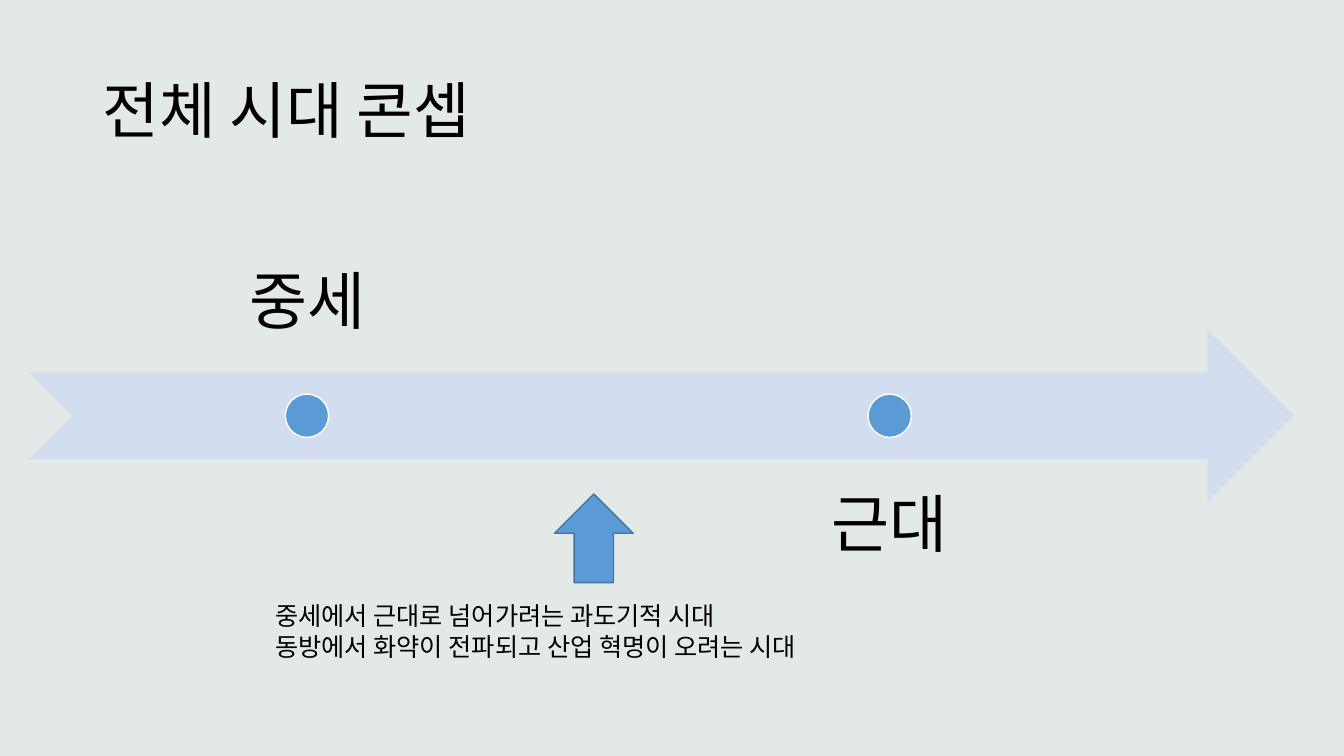
from lxml import etree
from pptx import Presentation
from pptx.dml.color import RGBColor
from pptx.enum.shapes import MSO_SHAPE
from pptx.enum.text import MSO_ANCHOR, PP_ALIGN
from pptx.oxml.ns import qn
from pptx.util import Inches, Pt

FONT = "Noto Sans CJK KR"
BACKGROUND = RGBColor(0xE2, 0xE9, 0xE6)
BAND = RGBColor(0xD2, 0xDE, 0xEF)
BLUE = RGBColor(0x5B, 0x9B, 0xD5)
DARK_BLUE = RGBColor(0x43, 0x73, 0x9E)
WHITE = RGBColor(0xFF, 0xFF, 0xFF)
BLACK = RGBColor(0, 0, 0)
TOP, MIDDLE, BOTTOM = MSO_ANCHOR.TOP, MSO_ANCHOR.MIDDLE, MSO_ANCHOR.BOTTOM
LEFT, CENTER = PP_ALIGN.LEFT, PP_ALIGN.CENTER
NOTCHED_ARROW = MSO_SHAPE.NOTCHED_RIGHT_ARROW
UP_ARROW = MSO_SHAPE.UP_ARROW
OVAL = MSO_SHAPE.OVAL

DOT_SIZE = 0.43
LABEL_WIDTH = 5.51
LABEL_INSET = 0.35
# name, centre of the dot from the left of the band, whether the label is above
ERAS = [("중세", 2.755, True), ("근대", 8.535, False)]


def add_text(page, box, lines, size, anchor=TOP, align=LEFT, spacing=1.0, inset=None):
    """Add a text box with one paragraph for each line."""
    frame = page.shapes.add_textbox(*map(Inches, box)).text_frame
    frame.word_wrap = True
    frame.vertical_anchor = anchor
    if inset is not None:
        frame.margin_left = frame.margin_right = Inches(inset)
        frame.margin_top = frame.margin_bottom = Inches(inset)
    frame.text = "\n".join(lines)
    for para in frame.paragraphs:
        para.alignment = align
        para.line_spacing = spacing
        for span in para.runs:
            span.font.size = Pt(size)
            span.font.name = FONT
            span.font.color.rgb = BLACK
            east_asian = etree.SubElement(span.font._element, qn("a:ea"))
            east_asian.set("typeface", FONT)


def add_filled(page, kind, box, fill, line=None):
    shape = page.shapes.add_shape(kind, *map(Inches, box))
    shape.shadow.inherit = False
    shape.fill.solid()
    shape.fill.fore_color.rgb = fill
    if line is None:
        shape.line.fill.background()
    else:
        shape.line.color.rgb = line
        shape.line.width = Pt(1)


def add_timeline(page, box):
    """Draw the band, with a dot and a label for each era."""
    left, top, width, height = box
    add_filled(page, NOTCHED_ARROW, box, BAND)
    dot_top = top + (height - DOT_SIZE) / 2
    for name, offset, above in ERAS:
        center = left + offset
        label_top = top - 0.75 * height if above else top + 0.75 * height
        label_box = (center - LABEL_WIDTH / 2, label_top, LABEL_WIDTH, height)
        add_text(page, label_box, [name], 45, BOTTOM if above else TOP,
                 CENTER, 0.9, LABEL_INSET)
        dot_box = (center - DOT_SIZE / 2, dot_top, DOT_SIZE, DOT_SIZE)
        add_filled(page, OVAL, dot_box, BLUE, WHITE)


def add_setting(page, box):
    """Describe the era between the dots, with an arrow up to the band."""
    left, top, width, height = box
    add_text(page, box, ["중세에서 근대로 넘어가려는 과도기적 시대",
                         "동방에서 화약이 전파되고 산업 혁명이 오려는 시대"], 18)
    add_filled(page, UP_ARROW, (left + 2.87, top - 1.01, 0.78, 0.88), BLUE, DARK_BLUE)


def main():
    deck = Presentation()
    deck.slide_width, deck.slide_height = Inches(13.33), Inches(7.5)
    page = deck.slides.add_slide(deck.slide_layouts[6])
    page.background.fill.solid()
    page.background.fill.fore_color.rgb = BACKGROUND
    add_text(page, (0.92, 0.4, 11.5, 1.45), ["전체 시대 콘셉"], 44, MIDDLE, spacing=0.9)
    add_timeline(page, (0.29, 3.27, 12.54, 1.71))
    add_setting(page, (2.63, 5.91, 6.9, 0.71))
    deck.save("out.pptx")


if __name__ == "__main__":
    main()
